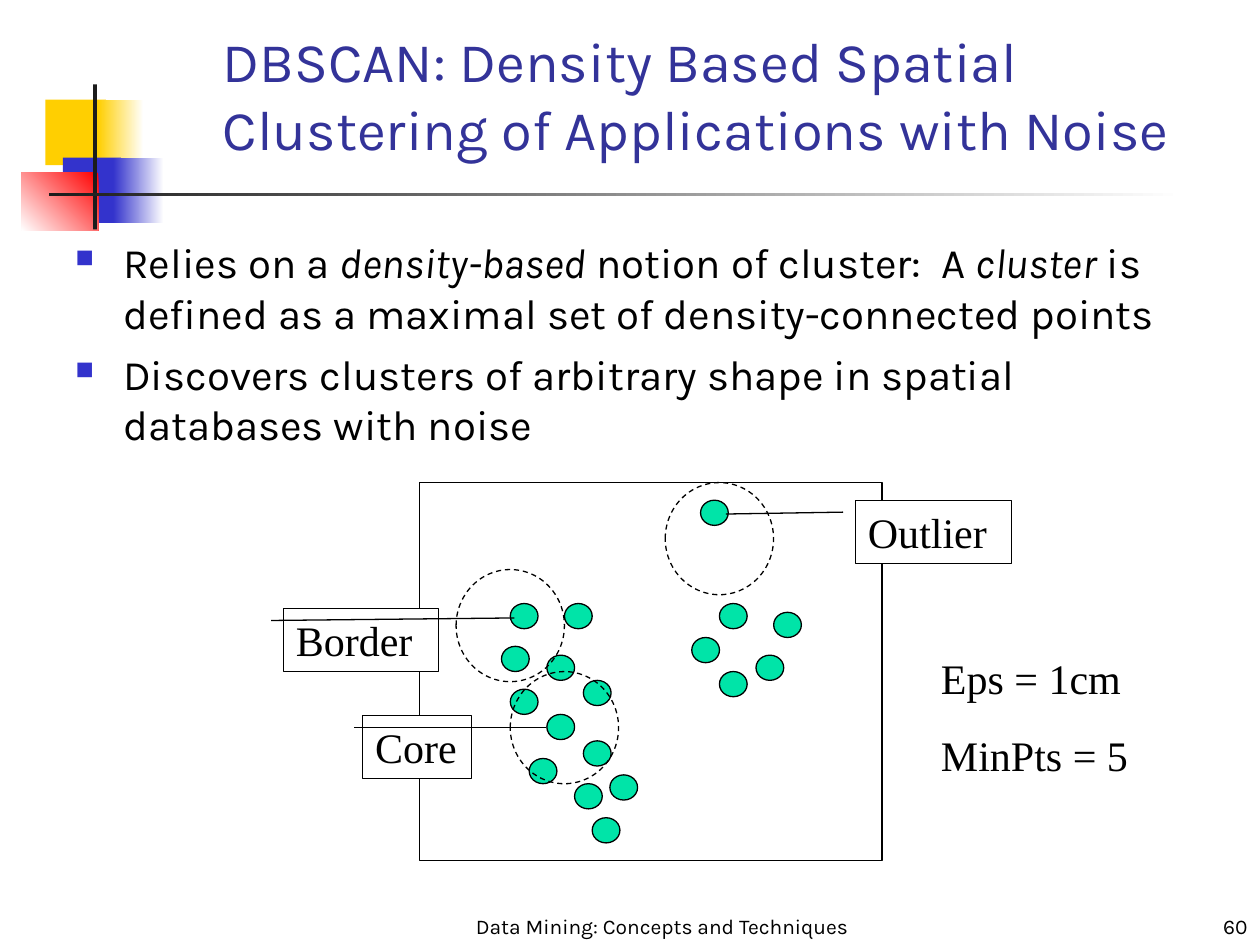
from lxml import etree
from pptx import Presentation
from pptx.dml.color import RGBColor
from pptx.enum.dml import MSO_LINE
from pptx.enum.shapes import MSO_SHAPE as Shape
from pptx.enum.text import MSO_ANCHOR as Anchor, PP_ALIGN as Align
from pptx.oxml.ns import qn
from pptx.util import Inches, Pt

COLORS = {
    "yellow": "FFCF01", "blue": "3333CC", "red": "FF0000", "dark": "1C1C1C",
    "white": "FFFFFF", "black": "000000", "title": "333399", "point": "00E4A8",
}
SANS, SERIF = "Karla", "Times New Roman"

# Content
TITLE = "DBSCAN: Density Based Spatial Clustering of Applications with Noise"
BULLETS = [  # (text, italic) runs
    [("Relies on a ", False), ("density-based", True),
     (" notion of cluster:  A ", False), ("cluster", True),
     (" is defined as a maximal set of density-connected points", False)],
    [("Discovers clusters of arbitrary shape in spatial databases with noise", False)],
]
PARAMETERS = ["Eps = 1cm", "MinPts = 5"]
FOOTER, PAGE = "Data Mining: Concepts and Techniques", "60"

# Corner decoration: box, fill colours, gradient angle (None for a plain fill)
DECORATION = [
    ((0.36, 0.79, 0.48, 0.52), ["yellow"], None),
    ((0.78, 0.79, 0.36, 0.52), ["white", "yellow"], 180),
    ((0.5, 1.25, 0.46, 0.52), ["blue"], None),
    ((0.9, 1.25, 0.4, 0.52), ["white", "blue"], 180),
    ((0.17, 1.37, 0.61, 0.46), ["red", "white"], 225),
    ((0.74, 0.67, 0.03, 1.15), ["dark"], None),
    ((0.39, 1.53, 9, 0.03), ["white", "dark"], 180),
]

# Diagram: top left corners of points and neighbourhoods
POINT_SIZE, NEIGHBOURHOOD_SIZE = (0.22, 0.2), (0.86, 0.89)
POINTS = [
    (4.05, 4.79), (3.98, 5.13), (4.34, 5.2), (4.48, 4.79), (4.63, 5.4), (4.05, 5.47),
    (4.34, 5.67), (4.2, 6.02), (4.56, 6.22), (4.7, 6.49), (4.63, 5.88), (4.84, 6.15),
    (5.56, 3.97), (5.71, 4.79), (5.49, 5.06), (6, 5.2), (6.14, 4.86), (5.71, 5.33),
]
NEIGHBOURHOODS = [(3.62, 4.52), (4.05, 5.33), (5.28, 3.83)]
DATA_SPACE = (3.33, 3.83, 3.67, 3)
CALLOUTS = [  # label, box, pointer end (y, x) as a share of the box
    ("Core", (2.88, 5.68, 0.86, 0.5), (0.19, 1.69)),
    ("Border", (2.25, 4.83, 1.23, 0.5), (0.15, 1.49)),
    ("Outlier", (6.79, 3.97, 1.24, 0.5), (0.22, -0.83)),
]
POINTER_START = (0.19, -0.08)

prs = Presentation()
prs.slide_width, prs.slide_height = Inches(10), Inches(7.5)
slide = prs.slides.add_slide(prs.slide_layouts[6])


def rgb(name):
    return RGBColor.from_string(COLORS[name])


def add_figure(kind, box, fill=None, line="black", dashed=False):
    figure = slide.shapes.add_shape(kind, *map(Inches, box))
    figure.shadow.inherit = False
    if fill:
        figure.fill.solid()
        figure.fill.fore_color.rgb = rgb(fill)
    else:
        figure.fill.background()
    if line:
        figure.line.color.rgb = rgb(line)
        figure.line.width = Pt(0.75)
        if dashed:
            figure.line.dash_style = MSO_LINE.DASH
    else:
        figure.line.fill.background()
    return figure


def write(frame, paragraphs, size, font, color="black", align=Align.LEFT,
          anchor=Anchor.TOP, space=0):
    """Fill a frame; each paragraph is a list of (text, italic) runs."""
    frame.word_wrap = True
    frame.vertical_anchor = anchor
    for i, runs in enumerate(paragraphs):
        paragraph = frame.add_paragraph() if i else frame.paragraphs[0]
        paragraph.alignment = align
        paragraph.space_before = Pt(space)
        for text, italic in runs:
            run = paragraph.add_run()
            run.text = text
            run.font.size, run.font.name, run.font.italic = Pt(size), font, italic
            run.font.color.rgb = rgb(color)


def add_text(box, paragraphs, size, font, **style):
    frame = slide.shapes.add_textbox(*map(Inches, box)).text_frame
    write(frame, paragraphs, size, font, **style)
    return frame


def add_bullet(paragraph):
    props = paragraph._p.get_or_add_pPr()
    props.set("marL", str(Inches(0.38)))
    props.set("indent", str(-Inches(0.38)))
    color = etree.SubElement(props, qn("a:buClr"))
    etree.SubElement(color, qn("a:srgbClr"), val=COLORS["blue"])
    etree.SubElement(props, qn("a:buSzPct"), val="60000")
    etree.SubElement(props, qn("a:buChar"), char="■")


# Corner decoration
for box, colors, angle in DECORATION:
    block = add_figure(Shape.RECTANGLE, box, colors[0], line=None)
    if angle is not None:
        block.fill.gradient()
        block.fill.gradient_angle = angle
        for stop, color in zip(block.fill.gradient_stops, colors):
            stop.color.rgb = rgb(color)

# Title and bullets
add_text((1.67, 0.25, 7.92, 1.08), [[(TITLE, False)]], 32, SANS,
         color="title", anchor=Anchor.BOTTOM)
body = add_text((0.5, 1.83, 9.08, 5.33), BULLETS, 24, SANS, space=6)
for paragraph in body.paragraphs:
    add_bullet(paragraph)

# Diagram
for corner in POINTS:
    add_figure(Shape.OVAL, corner + POINT_SIZE, "point")
add_figure(Shape.RECTANGLE, DATA_SPACE)
for corner in NEIGHBOURHOODS:
    add_figure(Shape.OVAL, corner + NEIGHBOURHOOD_SIZE, dashed=True)
for label, box, pointer_end in CALLOUTS:
    callout = add_figure(Shape.LINE_CALLOUT_1, box, "white")
    for i, share in enumerate(POINTER_START + pointer_end):
        callout.adjustments[i] = share
    write(callout.text_frame, [[(label, False)]], 24, SERIF)
add_text((7.37, 5.13, 1.8, 1.11), [[(text, False)] for text in PARAMETERS],
         24, SERIF, space=15)

# Footer
add_text((3.67, 7.08, 3.17, 0.42), [[(FOOTER, False)]], 12, SANS,
         align=Align.CENTER, anchor=Anchor.BOTTOM)
add_text((7.92, 7.08, 2.08, 0.42), [[(PAGE, False)]], 12, SANS,
         align=Align.RIGHT, anchor=Anchor.BOTTOM)

prs.save("out.pptx")
